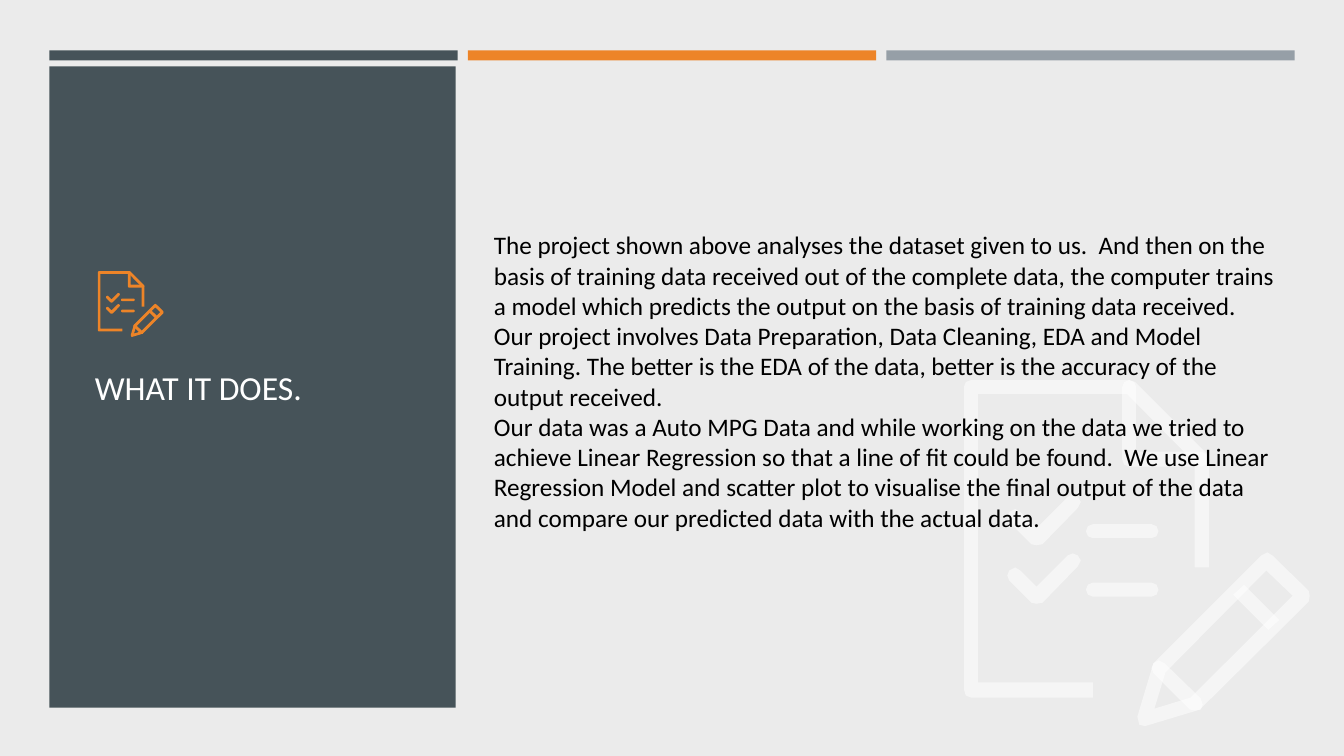
from dataclasses import dataclass

from lxml import etree
from pptx import Presentation
from pptx.dml.color import RGBColor
from pptx.enum.shapes import MSO_SHAPE
from pptx.enum.text import MSO_ANCHOR, PP_ALIGN
from pptx.oxml.ns import qn
from pptx.util import Pt

RECT = MSO_SHAPE.RECTANGLE
TOP, MIDDLE = MSO_ANCHOR.TOP, MSO_ANCHOR.MIDDLE
LEFT = PP_ALIGN.LEFT
TITLE_ONLY = 5
PX = 9144


@dataclass(frozen=True)
class Theme:
    font: str = "Calibri"
    title_size: int = 24
    body_size: int = 18
    background: str = "EBEBEB"
    slate: str = "465359"
    orange: str = "ED8428"
    gray: str = "969FA7"
    white: str = "FFFFFF"
    black: str = "000000"


def shift(points, dy):
    return [(x, y + dy) for x, y in points]


ROW = 58
PENCIL = [(178, 343), (174, 342), (172, 334), (187, 284), (188, 281), (295, 174), (301, 171),
          (306, 174), (342, 209), (343, 214), (342, 220), (234, 327), (231, 328), (181, 343)]
PENCIL_HOLE = [(200, 290), (189, 326), (225, 315), (326, 214), (300, 189)]
ERASER = [(302, 248), (267, 213), (278, 203), (313, 238)]
TIP = [(229, 328), (224, 327), (188, 291), (186, 286), (188, 281),
       (193, 278), (199, 281), (235, 316), (237, 322), (235, 327)]
LINE = [(186, 157), (128, 157), (123, 155), (121, 150), (123, 145),
        (128, 143), (186, 143), (191, 145), (193, 150), (191, 155)]
CHECK = [(72, 164), (67, 163), (45, 141), (43, 136), (45, 131), (51, 128), (56, 131),
         (72, 147), (103, 116), (108, 114), (113, 116), (116, 121), (113, 127), (78, 163)]
PAPER = [(128, 315), (7, 315), (2, 313), (0, 307), (0, 7), (2, 2), (7, 0), (164, 0), (170, 2),
         (242, 74), (243, 78), (243, 186), (229, 186), (229, 82), (162, 14), (14, 14),
         (14, 300), (128, 300)]
FOLD = [(236, 86), (164, 86), (159, 84), (157, 79), (157, 7), (159, 2), (164, 0),
        (169, 2), (171, 7), (171, 71), (236, 71), (241, 74), (243, 79), (241, 84)]
CHECKLIST_ICON = [
    [PENCIL, PENCIL_HOLE], [ERASER], [TIP],
    [LINE], [shift(LINE, ROW)],
    [CHECK], [shift(CHECK, ROW)],
    [PAPER], [FOLD],
]

BODY = [
    "The project shown above analyses the dataset given to us.  And then on the basis of "
    "training data received out of the complete data, the computer trains a model which "
    "predicts the output on the basis of training data received. Our project involves Data "
    "Preparation, Data Cleaning, EDA and Model Training. The better is the EDA of the data, "
    "better is the accuracy of the output received.",
    "Our data was a Auto MPG Data and while working on the data we tried to achieve Linear "
    "Regression so that a line of fit could be found.  We use Linear Regression Model and "
    "scatter plot to visualise the final output of the data and compare our predicted data "
    "with the actual data.",
]


class SlideBuilder:
    def __init__(self, s, theme):
        self.s = s
        self.theme = theme
        s.background.fill.solid()
        s.background.fill.fore_color.rgb = RGBColor.from_string(theme.background)

    def paint(self, sp, color, alpha=100):
        sp.shadow.inherit = False
        sp.line.fill.background()
        sp.fill.solid()
        sp.fill.fore_color.rgb = RGBColor.from_string(color)
        if alpha < 100:
            clr = sp._element.spPr.find(qn("a:solidFill"))[0]
            etree.SubElement(clr, qn("a:alpha")).set("val", str(alpha * 1000))

    def rect(self, box, color):
        self.paint(self.s.shapes.add_shape(RECT, *(v * PX for v in box)), color)

    def icon(self, left, top, scale, color, alpha=100):
        for contours in CHECKLIST_ICON:
            fb = None
            for points in contours:
                if fb is None:
                    fb = self.s.shapes.build_freeform(*points[0], scale=PX * scale)
                else:
                    fb.move_to(*points[0])
                fb.add_line_segments(points[1:], close=True)
            self.paint(fb.convert_to_shape(left * PX, top * PX), color, alpha)

    def fill_text(self, sp, paragraphs, size, color, anchor):
        tf = sp.text_frame
        for name, value in {"word_wrap": True, "vertical_anchor": anchor}.items():
            setattr(tf, name, value)
        for i, text in enumerate(paragraphs):
            p = tf.add_paragraph() if i else tf.paragraphs[0]
            p.alignment = LEFT
            r = p.add_run()
            r.text = text
            for name, value in {"name": self.theme.font, "size": Pt(size)}.items():
                setattr(r.font, name, value)
            r.font.color.rgb = RGBColor.from_string(color)

    def title(self, box, text):
        sp = self.s.shapes.title
        for name, value in zip(("left", "top", "width", "height"), box):
            setattr(sp, name, value * PX)
        self.s.shapes._spTree.append(sp._element)
        self.fill_text(sp, [text], self.theme.title_size, self.theme.white, MIDDLE)

    def text(self, box, paragraphs):
        sp = self.s.shapes.add_textbox(*(v * PX for v in box))
        self.fill_text(sp, paragraphs, self.theme.body_size, self.theme.black, TOP)


def main():
    prs = Presentation()
    prs.slide_width, prs.slide_height = 1333 * PX, 750 * PX
    theme = Theme()
    slide = SlideBuilder(prs.slides.add_slide(prs.slide_layouts[TITLE_ONLY]), theme)

    for i, color in enumerate((theme.slate, theme.orange, theme.gray)):
        slide.rect((49 + 415 * i, 50, 405, 10), color)
    slide.rect((49, 66, 403, 636), theme.slate)
    slide.title((84, 290, 332, 188), "WHAT IT DOES.")
    slide.icon(97, 269, 0.19, theme.orange)
    slide.icon(956, 377, 1, theme.white, alpha=50)
    slide.text((480, 223, 798, 313), BODY)

    prs.save("out.pptx")


if __name__ == "__main__":
    main()
